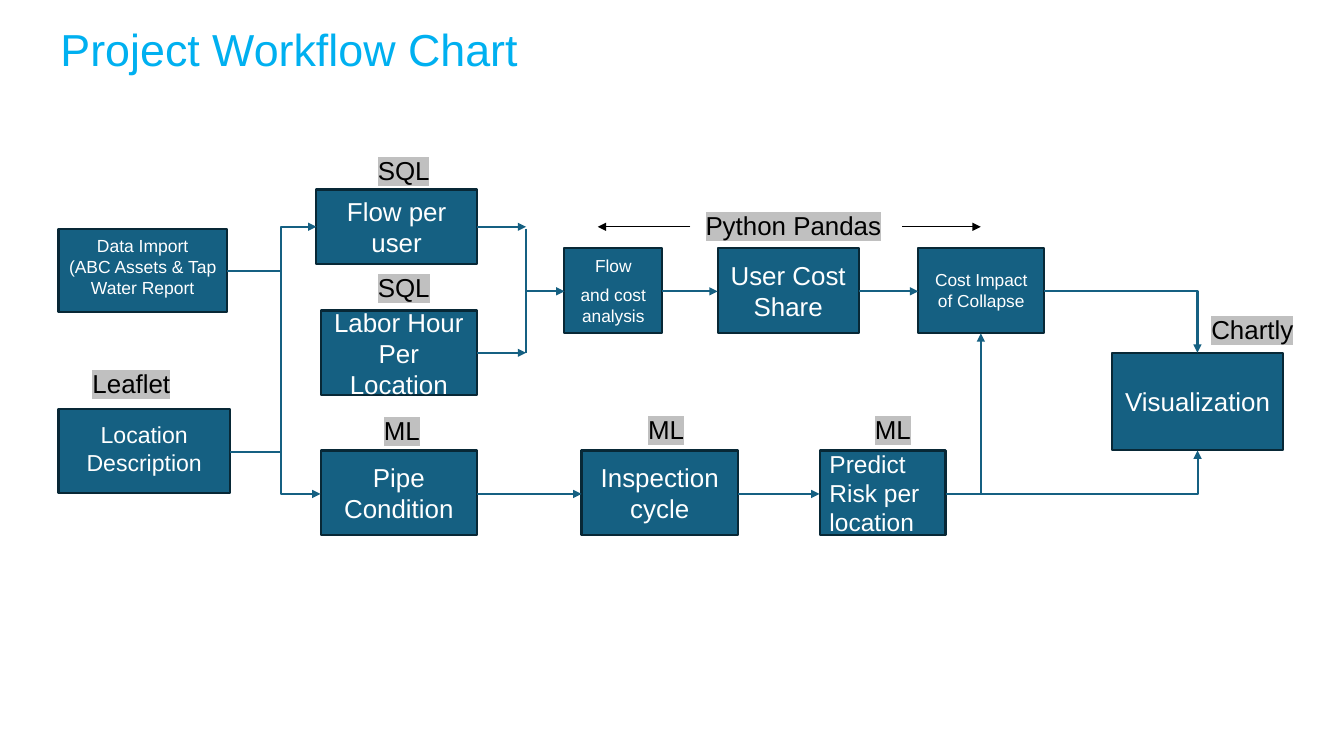
"""Build the project workflow chart slide."""
from dataclasses import dataclass

from lxml.etree import SubElement
from pptx import Presentation
from pptx.dml.color import RGBColor
from pptx.enum.shapes import MSO_CONNECTOR, MSO_SHAPE
from pptx.enum.text import MSO_ANCHOR, MSO_AUTO_SIZE, PP_ALIGN
from pptx.oxml.ns import qn
from pptx.slide import Slide
from pptx.text.text import _Paragraph as Paragraph
from pptx.util import Pt

FONT = "Arial"
TEAL = RGBColor(0x15, 0x60, 0x82)
NAVY = RGBColor(0x08, 0x28, 0x36)
SKY = RGBColor(0x00, 0xB0, 0xF0)
WHITE = RGBColor(0xFF, 0xFF, 0xFF)
BLACK = RGBColor(0x00, 0x00, 0x00)
SILVER = RGBColor(0xC0, 0xC0, 0xC0)

LARGE, SMALL = 18.5, 12.4
STEP_HEIGHT = 60.5
COST_TOP, RISK_TOP = 177.1, 321.8
COST_AXIS, RISK_AXIS = 208.1, 352.8
FLOW_AXIS, LABOR_AXIS = 162, 252
MERGE_X, IMPACT_X, VISUAL_X = 375.8, 700.6, 855.4


@dataclass(frozen=True)
class Step:
    lines: tuple[str, ...]
    left: float
    top: float
    width: float
    height: float = STEP_HEIGHT
    size: float = LARGE
    align: PP_ALIGN = PP_ALIGN.CENTER
    gap: float = 0
    bottom_inset: float = 3.6


@dataclass(frozen=True)
class Label:
    text: str
    left: float
    top: float
    width: float
    align: PP_ALIGN = PP_ALIGN.LEFT


@dataclass(frozen=True)
class Link:
    start: tuple[float, float]
    end: tuple[float, float]
    preset: str = "line"
    bend: int = 0
    arrow: bool = True
    color: RGBColor = TEAL
    weight: float = 1.5


STEPS = [
    Step(("Data Import", "(ABC Assets & Tap Water Report"), 41.8, 163.4, 120.2, 59.8, 12.5,
         bottom_inset=9.4),
    Step(("Location Description",), 41.8, 292.3, 122.4, 59.8, 16.5, bottom_inset=8),
    Step(("Flow per user",), 226, 135.4, 114.5, 53.3),
    Step(("Labor Hour Per Location",), 229, 221.8, 111.6),
    Step(("Flow", "and cost analysis"), 403.2, COST_TOP, 69.8, size=SMALL, gap=6),
    Step(("User Cost Share",), 512.6, COST_TOP, 100.8),
    Step(("Cost Impact of Collapse",), 655.9, COST_TOP, 90, size=SMALL),
    Step(("Pipe Condition",), 229, RISK_TOP, 111.6),
    Step(("Inspection cycle",), 415.4, RISK_TOP, 111.6),
    Step(("Predict", "Risk per location"), 585.4, RISK_TOP, 90, size=17.5, align=PP_ALIGN.LEFT),
    Step(("Visualization",), 794.2, 252, 122.4, 69.8),
]

LABELS = [
    Label("SQL", 262.8, 106.6, 79.2),
    Label("SQL", 262.8, 190.1, 75.6),
    Label("Python Pandas", 389.5, 146.2, 354.2, PP_ALIGN.CENTER),
    Label("ML", 267.1, 292.3, 64.1),
    Label("ML", 455.8, 291.6, 75.6),
    Label("ML", 617.8, 291.6, 61.2),
    Label("Chartly", 858.2, 220.3, 79.2),
    Label("Leaflet", 59, 259.2, 76.3),
]

LINKS = [
    Link((164.2, 322.6), (226, FLOW_AXIS), "bentConnector3", 58900),
    Link((162, 193.7), (229, RISK_AXIS), "bentConnector3", 58200),
    Link((340.6, FLOW_AXIS), (MERGE_X, FLOW_AXIS)),
    Link((340.6, LABOR_AXIS), (MERGE_X, LABOR_AXIS)),
    Link((MERGE_X, 163.4), (MERGE_X, LABOR_AXIS), arrow=False),
    Link((MERGE_X, COST_AXIS), (403.2, COST_AXIS)),
    Link((473, COST_AXIS), (512.6, COST_AXIS)),
    Link((613.4, COST_AXIS), (655.9, COST_AXIS)),
    Link((745.6, COST_AXIS), (VISUAL_X, 252), "bentConnector2"),
    Link((340.6, RISK_AXIS), (415.4, RISK_AXIS)),
    Link((527.4, RISK_AXIS), (585.4, RISK_AXIS)),
    Link((675.4, RISK_AXIS), (IMPACT_X, 238.1), "bentConnector2"),
    Link((IMPACT_X, RISK_AXIS), (VISUAL_X, 321.8), "bentConnector2"),
    Link((644.4, FLOW_AXIS), (IMPACT_X, FLOW_AXIS), color=BLACK, weight=1),
    Link((493.2, FLOW_AXIS), (427, FLOW_AXIS), color=BLACK, weight=1),
]


def style(para: Paragraph, size: float, color: RGBColor, align: PP_ALIGN) -> None:
    """Format one paragraph."""
    para.alignment = align
    para.font.name = FONT
    para.font.size = Pt(size)
    para.font.color.rgb = color


def add_title(page: Slide, text: str) -> None:
    """Place and format the title placeholder."""
    title = page.shapes.title
    title.left, title.top, title.width, title.height = Pt(36), Pt(12.2), Pt(353.5), Pt(46)
    frame = title.text_frame
    frame.text = text
    frame.vertical_anchor = MSO_ANCHOR.TOP
    frame.auto_size = MSO_AUTO_SIZE.NONE
    style(frame.paragraphs[0], 32, SKY, PP_ALIGN.LEFT)


def add_step(page: Slide, step: Step) -> None:
    """Draw one workflow box."""
    box = page.shapes.add_shape(MSO_SHAPE.RECTANGLE, Pt(step.left), Pt(step.top),
                                Pt(step.width), Pt(step.height))
    box.shadow.inherit = False
    box.fill.solid()
    box.fill.fore_color.rgb = TEAL
    box.line.color.rgb = NAVY
    box.line.width = Pt(1.5)
    frame = box.text_frame
    frame.word_wrap = True
    frame.vertical_anchor = MSO_ANCHOR.MIDDLE
    frame.margin_bottom = Pt(step.bottom_inset)
    frame.text = "\n".join(step.lines)
    for index, para in enumerate(frame.paragraphs):
        style(para, step.size, WHITE, step.align)
        if index and step.gap:
            para.space_before = Pt(step.gap)


def add_label(page: Slide, label: Label) -> None:
    """Draw one highlighted tool name."""
    box = page.shapes.add_textbox(Pt(label.left), Pt(label.top), Pt(label.width), Pt(29.5))
    frame = box.text_frame
    frame.word_wrap = True
    frame.text = label.text
    para = frame.paragraphs[0]
    style(para, LARGE, BLACK, label.align)
    span = para.runs[0]
    highlight = SubElement(span.font._element, qn("a:highlight"))
    SubElement(highlight, qn("a:srgbClr"), val=str(SILVER))


def add_link(page: Slide, link: Link) -> None:
    """Draw one straight or bent connector."""
    kind = MSO_CONNECTOR.STRAIGHT if link.preset == "line" else MSO_CONNECTOR.ELBOW
    connector = page.shapes.add_connector(kind, *map(Pt, link.start + link.end))
    connector.line.color.rgb = link.color
    connector.line.width = Pt(link.weight)
    properties = connector._element.spPr
    geometry = properties.find(qn("a:prstGeom"))
    geometry.set("prst", link.preset)
    if link.bend:
        SubElement(geometry.find(qn("a:avLst")), qn("a:gd"), name="adj1", fmla=f"val {link.bend}")
    if kind == MSO_CONNECTOR.ELBOW and link.end[1] < link.start[1]:
        transform = properties.find(qn("a:xfrm"))
        transform.attrib.pop("flipV")
        transform.set("rot", "10800000")
        transform.set("flipH", "1")
    if link.arrow:
        SubElement(properties.find(qn("a:ln")), qn("a:tailEnd"), type="triangle")
    SubElement(properties, qn("a:effectLst"))


def main() -> None:
    """Assemble and save the deck."""
    deck = Presentation()
    deck.slide_width, deck.slide_height = Pt(960), Pt(540)
    page = deck.slides.add_slide(deck.slide_layouts[5])
    add_title(page, "Project Workflow Chart")
    for step in STEPS:
        add_step(page, step)
    for link in LINKS:
        add_link(page, link)
    for label in LABELS:
        add_label(page, label)
    deck.save("out.pptx")


if __name__ == "__main__":
    main()
